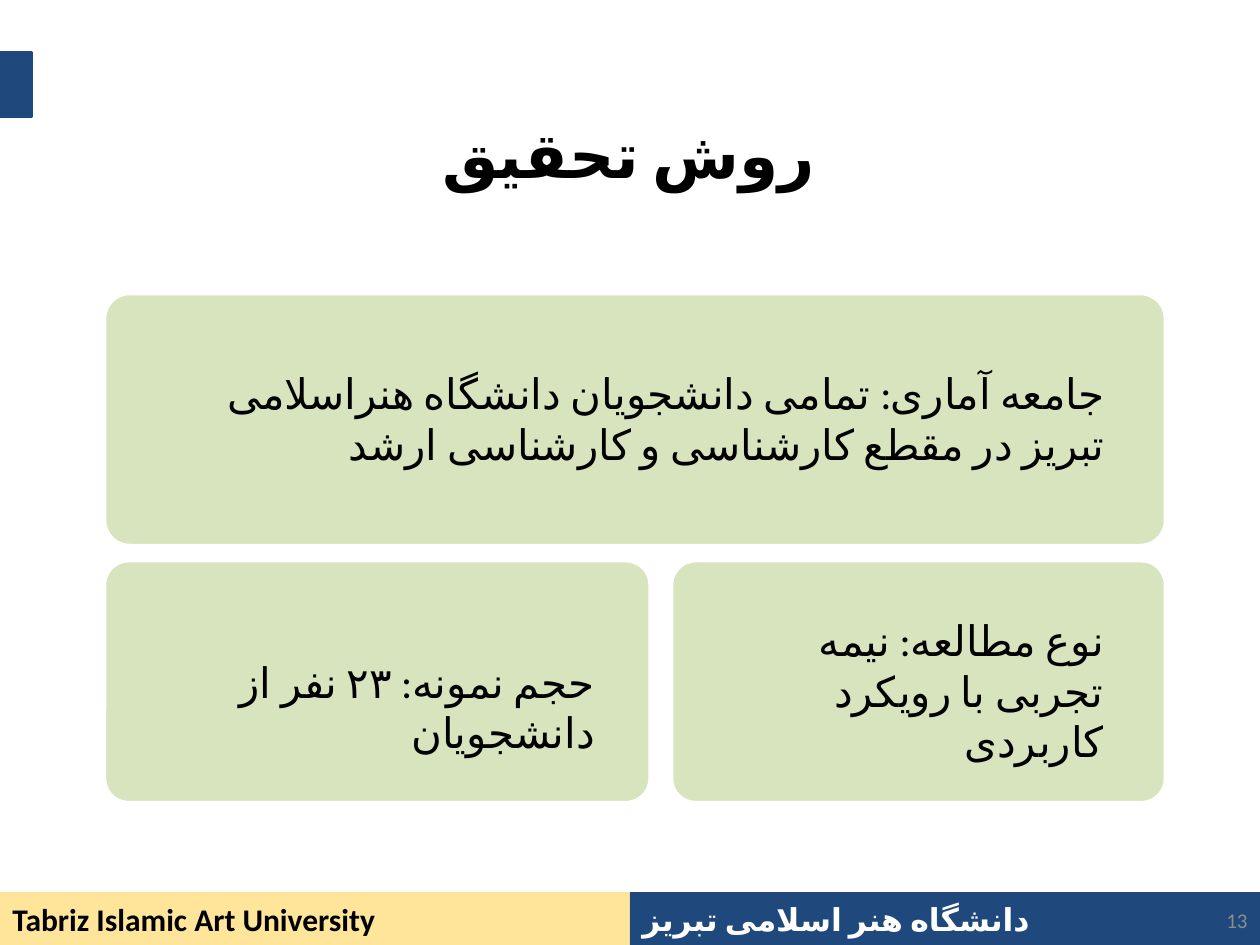
from pptx import Presentation
from pptx import util as u
from pptx.dml.color import RGBColor
from pptx.enum import lang, shapes, text
from pptx.oxml.ns import qn
from lxml import etree

Inches = u.Inches
FONT = "Calibri"
COLORS = {"navy": "1F497D", "gold": "FFC000", "green": "D7E4BD",
          "white": "FFFFFF", "black": "000000", "gray": "8C8C8C"}
ALIGN = text.PP_ALIGN
MIDDLE = text.MSO_ANCHOR.MIDDLE


def rgb(name):
    return RGBColor.from_string(COLORS[name])


def set_text(sp, content, size=24, color="black", bold=False, persian=True,
             align=ALIGN.LEFT, anchor=text.MSO_ANCHOR.TOP, rtl=False):
    tf = sp.text_frame
    tf.word_wrap = True
    tf.vertical_anchor = anchor
    p = tf.paragraphs[0]
    p.alignment = align
    if rtl:
        p._p.get_or_add_pPr().set("rtl", "1")
    r = p.add_run()
    r.text = content
    r.font.name = FONT
    r.font.size = u.Pt(size)
    r.font.bold = bold
    r.font.color.rgb = rgb(color)
    if persian:
        r.font.language_id = lang.MSO_LANGUAGE_ID.FARSI
        # Complex-script font, used for Persian letters
        etree.SubElement(r._r.get_or_add_rPr(), qn("a:cs"), typeface=FONT)


def add_text(s, box, content, **fmt):
    sp = s.shapes.add_textbox(*map(Inches, box))
    set_text(sp, content, **fmt)
    return sp


def add_box(s, box, fill, line=None, kind=shapes.MSO_SHAPE.RECTANGLE, alpha=None):
    sp = s.shapes.add_shape(kind, *map(Inches, box))
    sp.shadow.inherit = False
    sp.fill.solid()
    sp.fill.fore_color.rgb = rgb(fill)
    if alpha is not None:
        clr = sp._element.spPr.find(qn("a:solidFill"))[0]
        etree.SubElement(clr, qn("a:alpha"), val=str(alpha * 1000))
    if line:
        sp.line.color.rgb = rgb(line)
        sp.line.width = u.Pt(2)
    else:
        sp.line.fill.background()
    return sp


def add_footer(s, x, y, w, h):
    half = w / 2
    fmt = dict(size=18, bold=True, anchor=MIDDLE)
    sp = add_box(s, (x + half, y, half, h), "navy")
    set_text(sp, "دانشگاه هنر اسلامی تبریز", color="white", **fmt)
    sp = add_box(s, (x, y, half, h), "gold", alpha=40)
    set_text(sp, "Tabriz Islamic Art University", persian=False, **fmt)
    # Slide number
    add_text(s, (x + w - 0.54, y + 0.02, 0.54, 0.4), "13", size=12,
             color="gray", persian=False, align=ALIGN.RIGHT, anchor=MIDDLE)


def add_header(s, x, y, w, h):
    add_box(s, (0, 0.42, 0.25, 0.5), "navy", line="navy")
    add_text(s, (x, y, w, h), "روش تحقیق", size=36, bold=True,
             align=ALIGN.CENTER, anchor=MIDDLE)


def add_card(s, box, inset, content):
    """Rounded card; inset gives the text's left, top, right and height."""
    x, y, w, h = box
    left, top, right, text_h = inset
    sp = add_box(s, box, "green", line="white",
                 kind=shapes.MSO_SHAPE.ROUNDED_RECTANGLE)
    sp.adjustments[0] = 0.1
    add_text(s, (x + left, y + top, w - left - right, text_h), content,
             align=ALIGN.RIGHT, rtl=True)


def add_cards(s, x, y, w, h):
    top_h, low_h, left_w, right_w = 2, 1.92, 4.33, 3.92
    low_y = y + h - low_h
    # Population
    add_card(s, (x, y, w, top_h), (0.24, 0.54, 0.38, 1.21),
             "جامعه آماری: تمامی دانشجویان دانشگاه هنراسلامی تبریز در مقطع کارشناسی و کارشناسی ارشد")
    # Sample size
    add_card(s, (x, low_y, left_w, low_h), (0.31, 0.71, 0.34, 0.5),
             "حجم نمونه: ۲۳ نفر از دانشجویان")
    # Study type
    add_card(s, (x + w - right_w, low_y, right_w, low_h), (0.25, 0.38, 0.39, 1.21),
             "نوع مطالعه: نیمه تجربی با رویکرد کاربردی")


def main():
    prs = Presentation()
    prs.slide_width, prs.slide_height = Inches(10), Inches(7.5)
    s = prs.slides.add_slide(prs.slide_layouts[6])
    add_footer(s, 0, 7.08, 10, 0.42)
    add_header(s, 1.59, 0.68, 6.8, 1.08)
    add_cards(s, 0.83, 2.33, 8.42, 4.04)
    prs.save("out.pptx")


if __name__ == "__main__":
    main()
